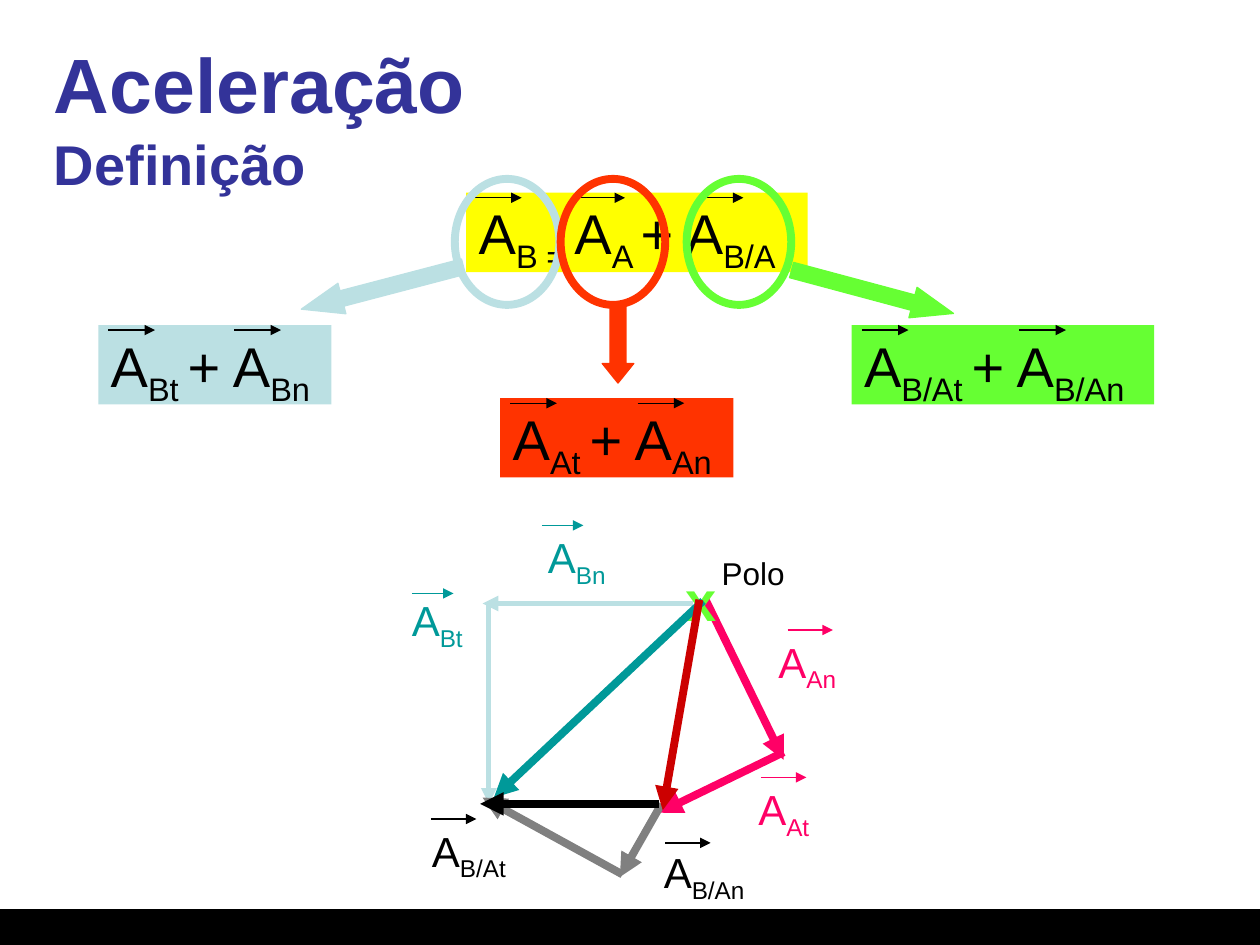
from dataclasses import dataclass

from lxml import etree
from pptx import Presentation
from pptx.dml.color import RGBColor
from pptx.enum.shapes import MSO_CONNECTOR, MSO_SHAPE
from pptx.enum.text import MSO_ANCHOR, PP_ALIGN
from pptx.oxml.ns import qn
from pptx.util import Inches, Pt

STRAIGHT = MSO_CONNECTOR.STRAIGHT
RECTANGLE, OVAL, DOWN_ARROW = MSO_SHAPE.RECTANGLE, MSO_SHAPE.OVAL, MSO_SHAPE.DOWN_ARROW
TOP, MIDDLE = MSO_ANCHOR.TOP, MSO_ANCHOR.MIDDLE
LEFT = PP_ALIGN.LEFT
COLUMNS, ROWS, CELL = 100, 75, 0.1  # grid of the slide, cell side in inches


@dataclass(frozen=True)
class Theme:
    font: str = "Arial"
    title: str = "333399"
    black: str = "000000"
    yellow: str = "FFFF00"
    pale: str = "BBE0E3"
    green: str = "66FF33"
    orange: str = "FF3300"
    teal: str = "009999"
    pink: str = "FF0066"
    red: str = "CC0000"
    gray: str = "808080"
    title_size: float = 44
    formula_size: float = 32
    label_size: float = 24
    note_size: float = 18
    thin: float = 0.75
    medium: float = 3
    thick: float = 4.5


THEME = Theme()


@dataclass(frozen=True)
class Box:
    """An area in grid columns and rows."""
    left: float
    top: float
    width: float
    height: float

    def inner(self, left, top, width, height):
        return Box(self.left + left, self.top + top, width, height)

    def point(self, column, row):
        return grid(self.left + column), grid(self.top + row)

    def lengths(self):
        return [grid(value) for value in (self.left, self.top, self.width, self.height)]


def grid(cells):
    return Inches(round(cells * CELL, 2))


def add_run(paragraph, text, size, color, bold=False, subscript=False):
    run = paragraph.add_run()
    run.text = text
    formats = {"name": THEME.font, "size": Pt(size), "bold": bold}
    for name, value in formats.items():
        setattr(run.font, name, value)
    run.font.color.rgb = RGBColor.from_string(color)
    if subscript:
        run.font._element.set("baseline", "-25000")


def prepare_text(shape, anchor=TOP):
    frame = shape.text_frame
    formats = {"word_wrap": True, "vertical_anchor": anchor, "margin_right": 0}
    for name, value in formats.items():
        setattr(frame, name, value)
    frame.paragraphs[0].alignment = LEFT
    return frame.paragraphs[0]


def add_text(slide, box, text, size, color, bold=False):
    paragraph = prepare_text(slide.shapes.add_textbox(*box.lengths()))
    add_run(paragraph, text, size, color, bold)


def add_symbols(paragraph, parts, size, color):
    """Write parts that alternate between the base line and subscript."""
    for index, part in enumerate(parts):
        add_run(paragraph, part, size, color, subscript=index % 2 == 1)


def add_figure(slide, box, kind, fill=None, line=None, width=THEME.thin):
    shape = slide.shapes.add_shape(kind, *box.lengths())
    shape.shadow.inherit = False
    if fill:
        shape.fill.solid()
        shape.fill.fore_color.rgb = RGBColor.from_string(fill)
    else:
        shape.fill.background()
    if line:
        shape.line.color.rgb = RGBColor.from_string(line)
        shape.line.width = Pt(width)
    else:
        shape.line.fill.background()
    return shape


def add_vector(slide, box, start, end, color, width=THEME.thin):
    connector = slide.shapes.add_connector(STRAIGHT, *box.point(*start), *box.point(*end))
    connector.line.color.rgb = RGBColor.from_string(color)
    connector.line.width = Pt(width)
    etree.SubElement(connector.line._get_or_add_ln(), qn("a:tailEnd"), type="triangle")
    etree.SubElement(connector._element.spPr, qn("a:effectLst"))


def add_formula(slide, box, parts, fill, marks):
    """Filled formula with a vector mark at each column in marks."""
    paragraph = prepare_text(add_figure(slide, box, RECTANGLE, fill))
    add_symbols(paragraph, parts, THEME.formula_size, THEME.black)
    for column in marks:
        add_vector(slide, box, (column, 0.4), (column + 3.65, 0.4), THEME.black)


def add_label(slide, box, subscript, color, mark, length):
    paragraph = prepare_text(slide.shapes.add_textbox(*box.lengths()))
    add_symbols(paragraph, ("A", subscript), THEME.label_size, color)
    column, row = mark
    add_vector(slide, box, mark, (column + length, row), color)


def build_title(slide, box):
    paragraph = prepare_text(slide.shapes.add_textbox(*box.lengths()), MIDDLE)
    add_run(paragraph, "Aceleração", THEME.title_size, THEME.title, True)
    paragraph.add_line_break()
    add_run(paragraph, "Definição", THEME.formula_size, THEME.title, True)


def build_decomposition(slide, box):
    """Main equation, with each circled term leading to its components."""
    add_formula(slide, box.inner(29.2, 1.1, 27.1, 6.3),
                ("A", "B = ", "A", "A ", "+ A", "B/A"), THEME.yellow, (0.7, 8.9, 18.3))
    # colour, subscripts, formula place, second mark, circle column, arrow place, turn
    terms = (
        (THEME.pale, "Bt ", "Bn", (0, 11.6, 18.5), 10.8, 28.3, (21.3, 2, 13.3), 75.3),
        (THEME.green, "B/At ", "B/An", (59.8, 11.6, 24), 13.3, 46.7, (60.2, 2.3, 13.3), 285),
        (THEME.orange, "At ", "An", (31.9, 17.4, 18.5), 10.9, 36.7, (40, 10, 6.2), 0),
    )
    for color, tangent, normal, place, mark, circle, arrow_place, turn in terms:
        add_formula(slide, box.inner(*place, 6.3), ("A", tangent, "+ A", normal),
                    color, (0.8, mark))
        add_figure(slide, box.inner(circle, 0, 8.3, 10), OVAL, line=color, width=THEME.thick)
        column, row, length = arrow_place
        arrow = add_figure(slide, box.inner(column, row, 2.5, length), DOWN_ARROW, color, color)
        arrow.adjustments[1] = length / 10
        arrow.rotation = turn


def build_polygon(slide, box):
    """Vector polygon drawn from the pole, with its labels."""
    add_vector(slide, box, (24.3, 5.9), (30.5, 18.6), THEME.pink, THEME.thick)
    add_text(slide, box.inner(21.7, 2.7, 4.5, 6.3), "x", THEME.formula_size, THEME.green, True)
    add_text(slide, box.inner(24.6, 1.8, 7, 4), "Polo", THEME.note_size, THEME.black)
    vectors = (
        ((23.3, 6.2), (6.6, 6.2), THEME.pale, THEME.medium),
        ((7.1, 6.2), (7.1, 22.1), THEME.pale, THEME.medium),
        ((30.5, 18), (20.6, 22.8), THEME.pink, THEME.thick),
        ((20.8, 22.1), (17.5, 27.9), THEME.gray, THEME.thick),
        ((17.7, 27.7), (6.6, 21.6), THEME.gray, THEME.thick),
        ((24.1, 6), (7.5, 21.6), THEME.teal, THEME.thick),
        ((23.8, 5.9), (20.9, 22.6), THEME.red, THEME.thick),
        ((20.6, 22.1), (6.4, 22.1), THEME.black, THEME.thick),
    )
    for vector in vectors:
        add_vector(slide, box, *vector)
    labels = (
        ((0, 5, 6.3), "Bt", THEME.teal, (1, 0.4), 3.3),
        ((10.8, 0, 6.9), "Bn", THEME.teal, (0.5, 0), 3.3),
        ((29.1, 8.3, 6.9), "An", THEME.pink, (1.7, 0), 3.6),
        ((27.5, 20, 6.3), "At", THEME.pink, (1.2, 0), 3.6),
        ((1.6, 23.3, 8.4), "B/At", THEME.black, (0.9, 0), 3.6),
        ((20, 25, 9), "B/An", THEME.black, (1.1, 0.2), 3.6),
    )
    for place, *label in labels:
        add_label(slide, box.inner(*place, 5), *label)


def main():
    presentation = Presentation()
    presentation.slide_width, presentation.slide_height = grid(COLUMNS), grid(ROWS)
    slide = presentation.slides.add_slide(presentation.slide_layouts[6])
    add_figure(slide, Box(0, ROWS - 2.8, COLUMNS, 2.8), RECTANGLE, THEME.black, THEME.black)
    build_title(slide, Box(3.3, 3, 93.3, 12.5))
    build_decomposition(slide, Box(7.8, 14.2, 83.8, 23.7))
    build_polygon(slide, Box(31.7, 41.7, 36, 30))
    presentation.save("out.pptx")


if __name__ == "__main__":
    main()
